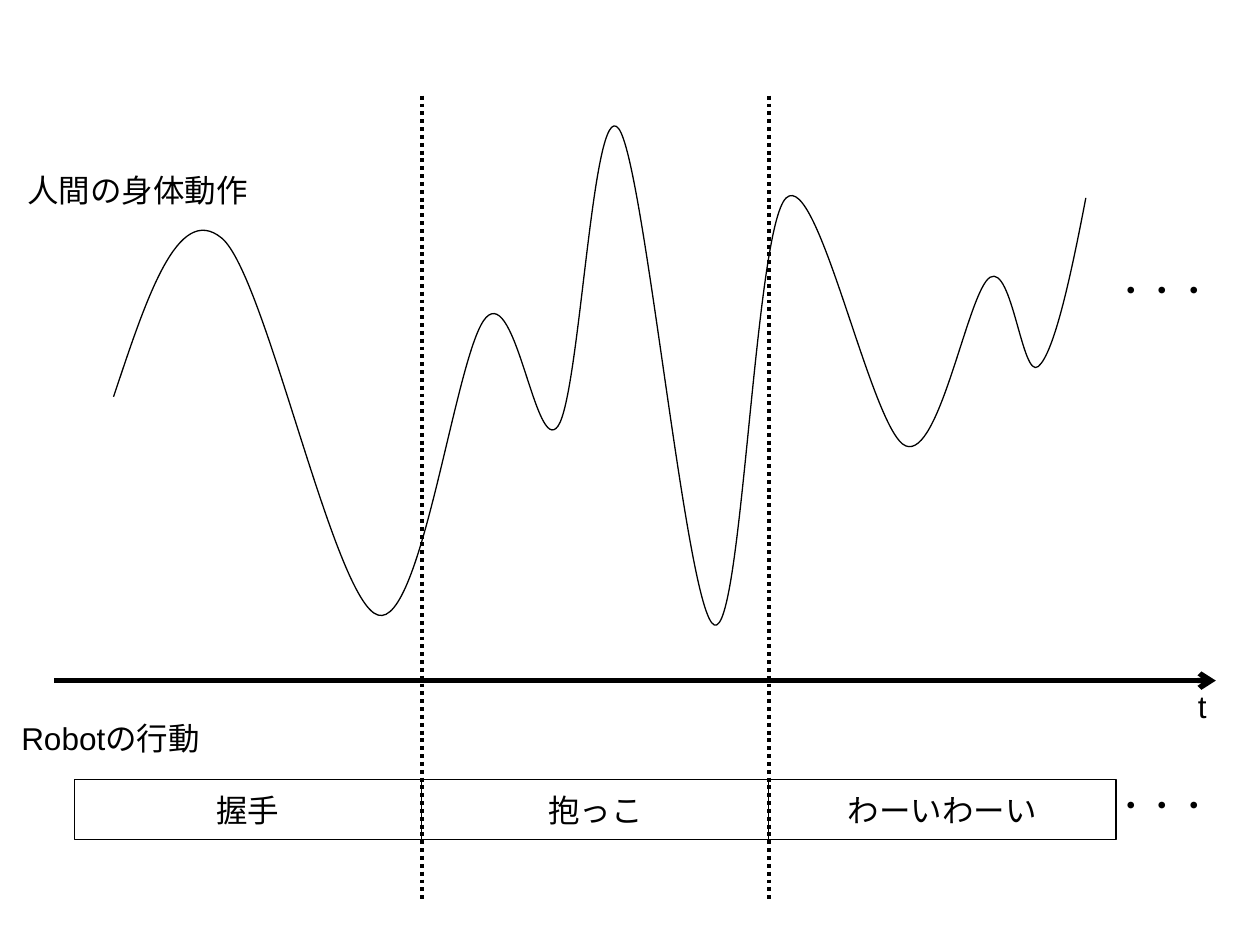
from dataclasses import dataclass

from lxml.etree import SubElement
from pptx import Presentation
from pptx.dml.color import RGBColor
from pptx.enum.dml import MSO_LINE
from pptx.enum.shapes import MSO_CONNECTOR, MSO_SHAPE
from pptx.enum.text import MSO_ANCHOR, MSO_AUTO_SIZE, PP_ALIGN
from pptx.oxml.ns import qn
from pptx.util import Cm, Pt


@dataclass(frozen=True)
class Theme:
    ink: RGBColor = RGBColor(0, 0, 0)
    paper: RGBColor = RGBColor(255, 255, 255)
    font: str = "Arial"
    size: Pt = Pt(18)
    thin: Pt = Pt(0.75)
    dotted: Pt = Pt(2.25)
    axis: Pt = Pt(3)


theme = Theme()


def write(sp, text, align):
    tf = sp.text_frame
    tf.word_wrap = False
    p = tf.paragraphs[0]
    p.text = text
    p.alignment = align
    p.font.name = theme.font
    p.font.size = theme.size
    p.font.color.rgb = theme.ink
    return tf


def add_line(x1, y1, x2, y2, width):
    cxn = s.shapes.add_connector(MSO_CONNECTOR.STRAIGHT, Cm(x1), Cm(y1), Cm(x2), Cm(y2))
    cxn.line.color.rgb = theme.ink
    cxn.line.width = width
    SubElement(cxn._element.spPr, qn("a:effectLst"))
    return cxn


prs = Presentation()
prs.slide_width = Cm(25.4)
prs.slide_height = Cm(19.05)
s = prs.slides.add_slide(prs.slide_layouts[6])

knots = [
    (2.29, 8), (4.47, 4.8), (7.62, 12.4), (9.8, 6.4), (11.25, 8.59), (12.47, 2.59),
    (14.4, 12.6), (15.85, 3.99), (18.26, 8.99), (19.96, 5.59), (20.93, 7.39), (21.89, 3.99),
]
inner = [((c[0] - a[0]) / 6, (c[1] - a[1]) / 6) for a, c in zip(knots, knots[2:])]
handles = [(0.66, -1.98)] + inner + [(0.3, -1.57)]
points = []
for (x1, y1), (x2, y2), (dx1, dy1), (dx2, dy2) in zip(knots, knots[1:], handles, handles[1:]):
    points += [(x1 + dx1, y1 + dy1), (x2 - dx2, y2 - dy2), (x2, y2)]

builder = s.shapes.build_freeform(Cm(knots[0][0]), Cm(knots[0][1]))
builder.add_line_segments([(Cm(x), Cm(y)) for x, y in points], close=False)
motion = builder.convert_to_shape()
motion.shadow.inherit = False
motion.fill.background()
motion.line.color.rgb = theme.ink
motion.line.width = theme.thin
segments = motion._element.xpath(".//a:lnTo")
for i in range(0, len(segments), 3):
    first, *others = segments[i:i + 3]
    first.tag = qn("a:cubicBezTo")
    for segment in others:
        first.append(segment[0])
        segment.getparent().remove(segment)

left, step = 1.5, 7
for i, action in enumerate(["握手", "抱っこ", "わーいわーい"]):
    sp = s.shapes.add_shape(MSO_SHAPE.RECTANGLE, Cm(left + i * step), Cm(15.72), Cm(step), Cm(1.2))
    sp.shadow.inherit = False
    sp.fill.solid()
    sp.fill.fore_color.rgb = theme.paper
    sp.line.color.rgb = theme.ink
    sp.line.width = theme.thin
    write(sp, action, PP_ALIGN.CENTER).vertical_anchor = MSO_ANCHOR.MIDDLE

axis = add_line(1.09, 13.72, 24.51, 13.72, theme.axis)
SubElement(axis.line._get_or_add_ln(), qn("a:tailEnd"), type="arrow")

for i in (1, 2):
    x = left + i * step
    add_line(x, 1.93, x, 18.14, theme.dotted).line.dash_style = MSO_LINE.ROUND_DOT

labels = [
    ("t", 23.9, 13.72, 0.69),
    ("・・・", 22.23, 15.72, 2.41),
    ("・・・", 22.23, 5.33, 2.41),
    ("Robotの行動", 0.18, 14.38, 4.24),
    ("人間の身体動作", 0.3, 3.33, 4.95),
]
for text, x, y, width in labels:
    sp = s.shapes.add_textbox(Cm(x), Cm(y), Cm(width), Cm(1.02))
    write(sp, text, PP_ALIGN.LEFT).auto_size = MSO_AUTO_SIZE.SHAPE_TO_FIT_TEXT

prs.save("out.pptx")
